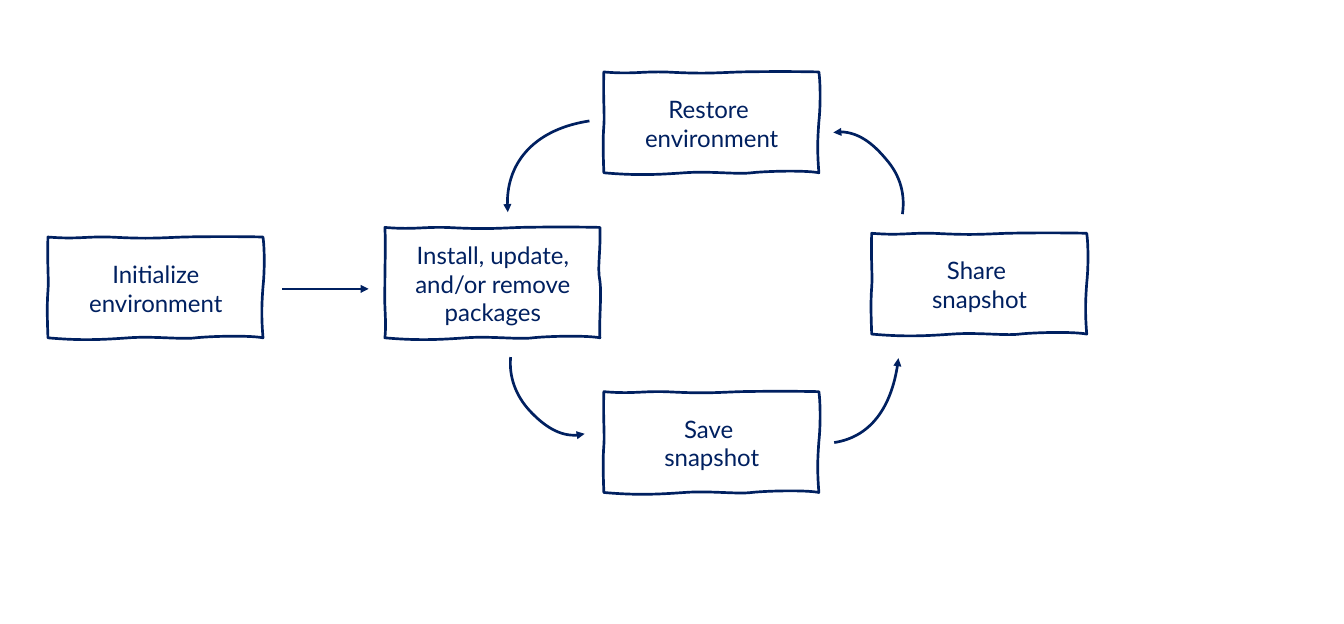
"""Build a slide showing the cycle of managing an environment with snapshots."""
import pptx
import pptx.dml.color
import pptx.enum.shapes
import pptx.enum.text
import pptx.oxml
import pptx.oxml.ns
import pptx.util
from dataclasses import dataclass

Pt = pptx.util.Pt


@dataclass
class Theme:
    ink: str = "002060"
    font: str = "Lato"
    size: float = 18
    weight: float = 2


WIDTH = 161.3
TOP = [(0, 0), (23.5, 2), (29.5, -1), (52, 0.3), (75, 1.4), (83.5, 0.7),
       (101.5, 0), (118.8, -0.4), (146.5, -0.4), (WIDTH, 0)]
BASE = [(151, -2), (121.5, -1.2), (110.9, 0), (100, 1.4), (79.5, -1.4),
        (60.5, 0), (41, 1.4), (24.5, 2.2), (0, 0)]
SHORT = (75.6,
         [(162.5, 9), (162.5, 26), (WIDTH, 37), (160.5, 48), (159.8, 58), (WIDTH, 75.6)],
         [(-0.7, 58.3), (-0.7, 49), (0, 40.3), (0.7, 31.7), (-0.7, 20), (0, 0)])
TALL = (82.8,
        [(162, 18), (159.1, 30.2), (WIDTH, 40.3), (162.7, 51), (160.5, 70.6), (WIDTH, 82.8)],
        [(1.4, 70.6), (-0.7, 60.5), (0, 44), (0, 27.4), (0.7, 12.2), (0, 0)])


class Sketch:
    def __init__(self, slide, theme):
        self.slide = slide
        self.theme = theme

    def stroke(self, shape, arrow=False):
        shape.line.color.rgb = pptx.dml.color.RGBColor.from_string(self.theme.ink)
        shape.line.width = Pt(self.theme.weight)
        if arrow:
            end = pptx.oxml.parse_xml(
                f'<a:tailEnd {pptx.oxml.ns.nsdecls("a")} type="triangle"/>')
            shape.element.xpath(".//a:ln")[0].append(end)

    def curve(self, spots, closed=False):
        spots = [(Pt(x), Pt(y)) for x, y in spots]
        pen = self.slide.shapes.build_freeform(*spots[0])
        pen.add_line_segments(spots[1:], close=closed)
        shape = pen.convert_to_shape()
        steps = shape.element.xpath(".//a:lnTo")
        for i in range(0, len(steps), 3):
            bend = pptx.oxml.parse_xml(
                f'<a:cubicBezTo {pptx.oxml.ns.nsdecls("a")}/>')
            steps[i].addprevious(bend)
            for step in steps[i:i + 3]:
                bend.append(step[0])
                step.getparent().remove(step)
        shape.shadow.inherit = False
        shape.fill.background()
        self.stroke(shape, arrow=not closed)
        return shape

    def box(self, left, top, text, form=SHORT):
        height, right, back = form
        edge = TOP + right + [(x, height + y) for x, y in BASE] + back
        shape = self.curve([(left + x, top + y) for x, y in edge], closed=True)
        frame = shape.text_frame
        frame.word_wrap = True
        frame.vertical_anchor = pptx.enum.text.MSO_ANCHOR.MIDDLE
        frame.text = text
        para = frame.paragraphs[0]
        para.alignment = pptx.enum.text.PP_ALIGN.CENTER
        para.font.name = self.theme.font
        para.font.size = Pt(self.theme.size)
        para.font.color.rgb = pptx.dml.color.RGBColor.from_string(self.theme.ink)

    def arrow(self, *ends):
        line = self.slide.shapes.add_connector(
            pptx.enum.shapes.MSO_CONNECTOR.STRAIGHT, *map(Pt, ends))
        self.stroke(line, arrow=True)
        line.element.spPr.append(pptx.oxml.parse_xml(
            f'<a:effectLst {pptx.oxml.ns.nsdecls("a")}/>'))


deck = pptx.Presentation()
deck.slide_width, deck.slide_height = Pt(1008), Pt(468)
art = Sketch(deck.slides.add_slide(deck.slide_layouts[6]), Theme())

art.box(288.7, 170.6, "Install, update, and/or remove packages", TALL)
for left, top, text in [
    (36, 177.8, "Initialize environment"),
    (452.9, 293.8, "Save \vsnapshot"),
    (653.8, 175, "Share \vsnapshot"),
    (452.9, 54, "Restore \venvironment"),
]:
    art.box(left, top, text)

art.arrow(211.7, 216.7, 276.5, 216.7)
for bend in [
    [(383, 267.8), (381.6, 282.2), (386.6, 296.6), (397.4, 308.2),
     (408.2, 319.7), (423.4, 329.8), (438.5, 325.4)],
    [(625.7, 331.9), (653.8, 327.6), (670.3, 301.7), (673.9, 268.6)],
    [(676.8, 160.6), (679, 146.2), (675.4, 131.8), (664.6, 119.5),
     (654.5, 107.3), (640.1, 96.5), (625, 99.4)],
    [(442.1, 90.7), (403.2, 96.5), (377.3, 122.4), (380.9, 159.1)],
]:
    art.curve(bend)

deck.save("out.pptx")
